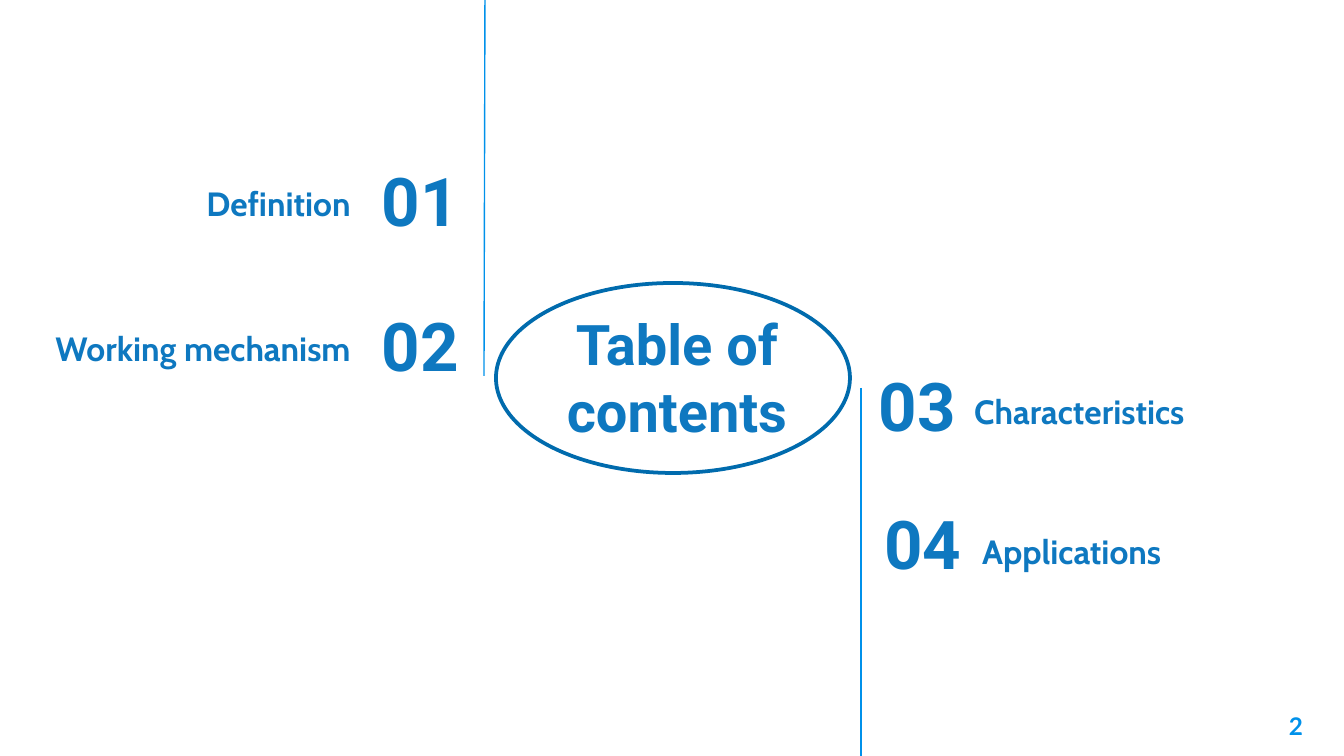
import dataclasses

import pptx
import pptx.dml.color
import pptx.enum.shapes
import pptx.enum.text
import pptx.oxml.ns
import pptx.util
import lxml.etree

EMU_PER_PX = 914400 / 134.4
ALIGN = pptx.enum.text.PP_ALIGN
ANCHOR = pptx.enum.text.MSO_ANCHOR


def px(length):
    return pptx.util.Emu(round(length * EMU_PER_PX))


def rgb(code):
    return pptx.dml.color.RGBColor.from_string(code)


@dataclasses.dataclass(frozen=True)
class TextStyle:
    font: str
    size: int
    color: str


@dataclasses.dataclass(frozen=True)
class Theme:
    background: str = "FFFFFF"
    divider: str = "0091EA"
    oval: str = "006BAD"
    title: TextStyle = TextStyle("Roboto", 30, "0E78C0")
    number: TextStyle = TextStyle("Roboto", 36, "0E78C0")
    topic: TextStyle = TextStyle("Cabin", 18, "0E78C0")
    page: TextStyle = TextStyle("Lato", 13, "0091EA")


class SlideBuilder:
    def __init__(self, slide, theme):
        self.slide = slide
        self.theme = theme
        slide.background.fill.solid()
        slide.background.fill.fore_color.rgb = rgb(theme.background)

    def text(self, words, box, style, align, anchor=ANCHOR.MIDDLE):
        frame = self.slide.shapes.add_textbox(*map(px, box)).text_frame
        frame.word_wrap = True
        frame.vertical_anchor = anchor
        frame.margin_left = frame.margin_right = pptx.util.Inches(0.1)
        frame.margin_top = frame.margin_bottom = pptx.util.Inches(0.1)
        paragraph = frame.paragraphs[0]
        paragraph.text = words
        paragraph.alignment = align
        font = paragraph.font
        font.name = style.font
        font.size = pptx.util.Pt(style.size)
        font.bold = True
        font.color.rgb = rgb(style.color)

    def divider(self, start, end):
        line = self.slide.shapes.add_connector(
            pptx.enum.shapes.MSO_CONNECTOR.STRAIGHT, *map(px, start + end))
        line.line.color.rgb = rgb(self.theme.divider)
        line.line.width = pptx.util.Pt(0.75)
        lxml.etree.SubElement(line._element.spPr, pptx.oxml.ns.qn("a:effectLst"))

    def oval(self, box):
        oval = self.slide.shapes.add_shape(
            pptx.enum.shapes.MSO_SHAPE.OVAL, *map(px, box))
        oval.shadow.inherit = False
        oval.fill.background()
        oval.line.color.rgb = rgb(self.theme.oval)
        oval.line.width = pptx.util.Pt(2)

    def entry(self, number, number_box, number_align, topic, topic_box, topic_align):
        self.text(number, number_box, self.theme.number, number_align)
        self.text(topic, topic_box, self.theme.topic, topic_align, ANCHOR.BOTTOM)


def main():
    deck = pptx.Presentation()
    deck.slide_width, deck.slide_height = px(1344), px(756)
    theme = Theme()
    contents = SlideBuilder(deck.slides.add_slide(deck.slide_layouts[6]), theme)

    contents.text("2", (1235, 698, 81, 58), theme.page, ALIGN.RIGHT, ANCHOR.TOP)
    contents.text("Table of contents", (484, 308, 386, 138), theme.title, ALIGN.CENTER)
    contents.divider((485, 0), (484, 376))
    contents.divider((861, 388), (861, 756))

    for index, topic in enumerate(("Definition", "Working mechanism")):
        top = 157 + 145 * index
        contents.entry(f"{index + 1:02}", (309, top, 163, 85), ALIGN.RIGHT,
                       topic, (17, top - 5, 347, 85), ALIGN.RIGHT)

    contents.entry("03", (806, 362, 163, 85), ALIGN.RIGHT,
                   "Characteristics", (961, 360, 309, 85), ALIGN.LEFT)
    contents.entry("04", (871, 500, 157, 85), ALIGN.LEFT,
                   "Applications", (969, 500, 292, 85), ALIGN.LEFT)

    contents.oval((496, 283, 354, 190))
    deck.save("out.pptx")


if __name__ == "__main__":
    main()
